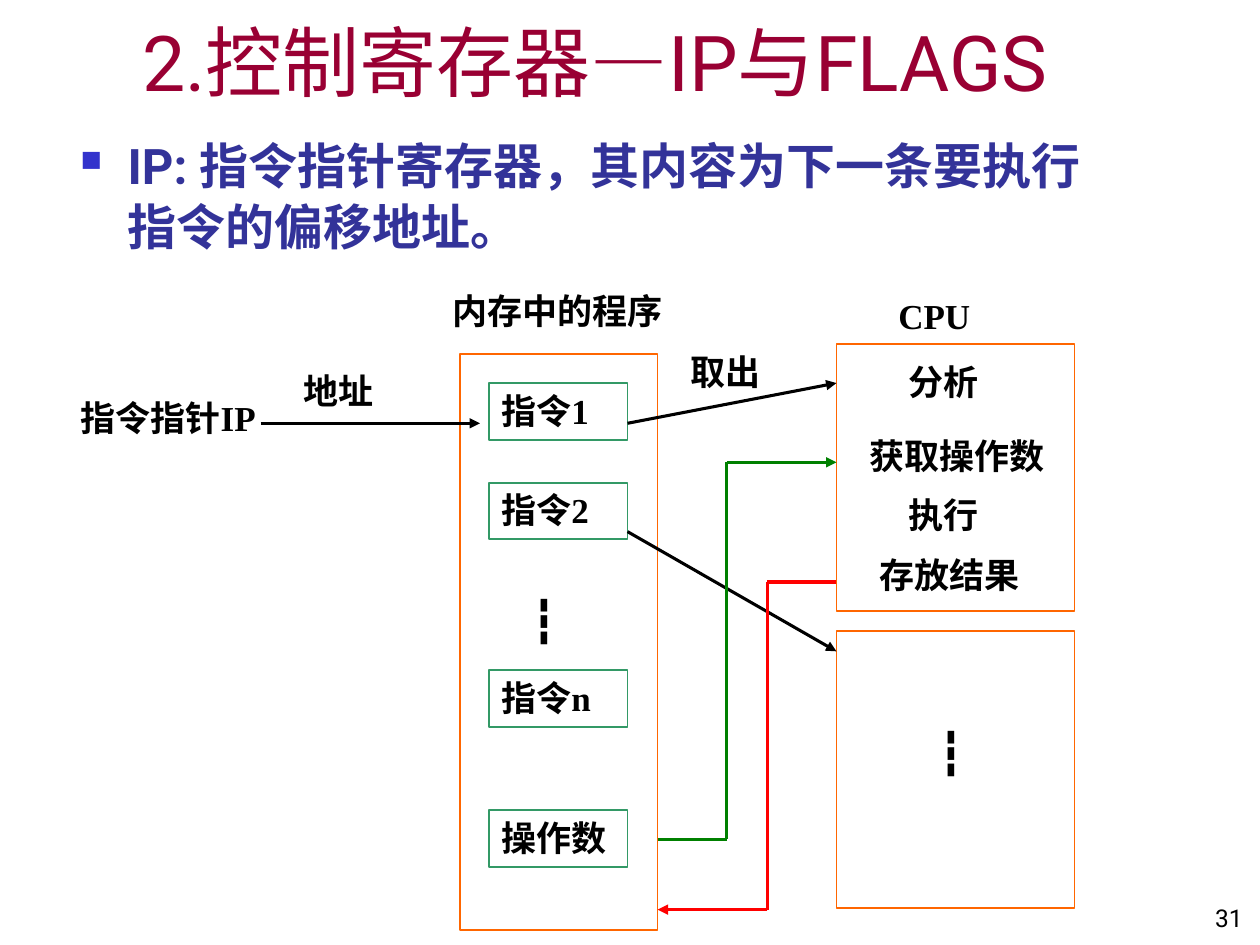
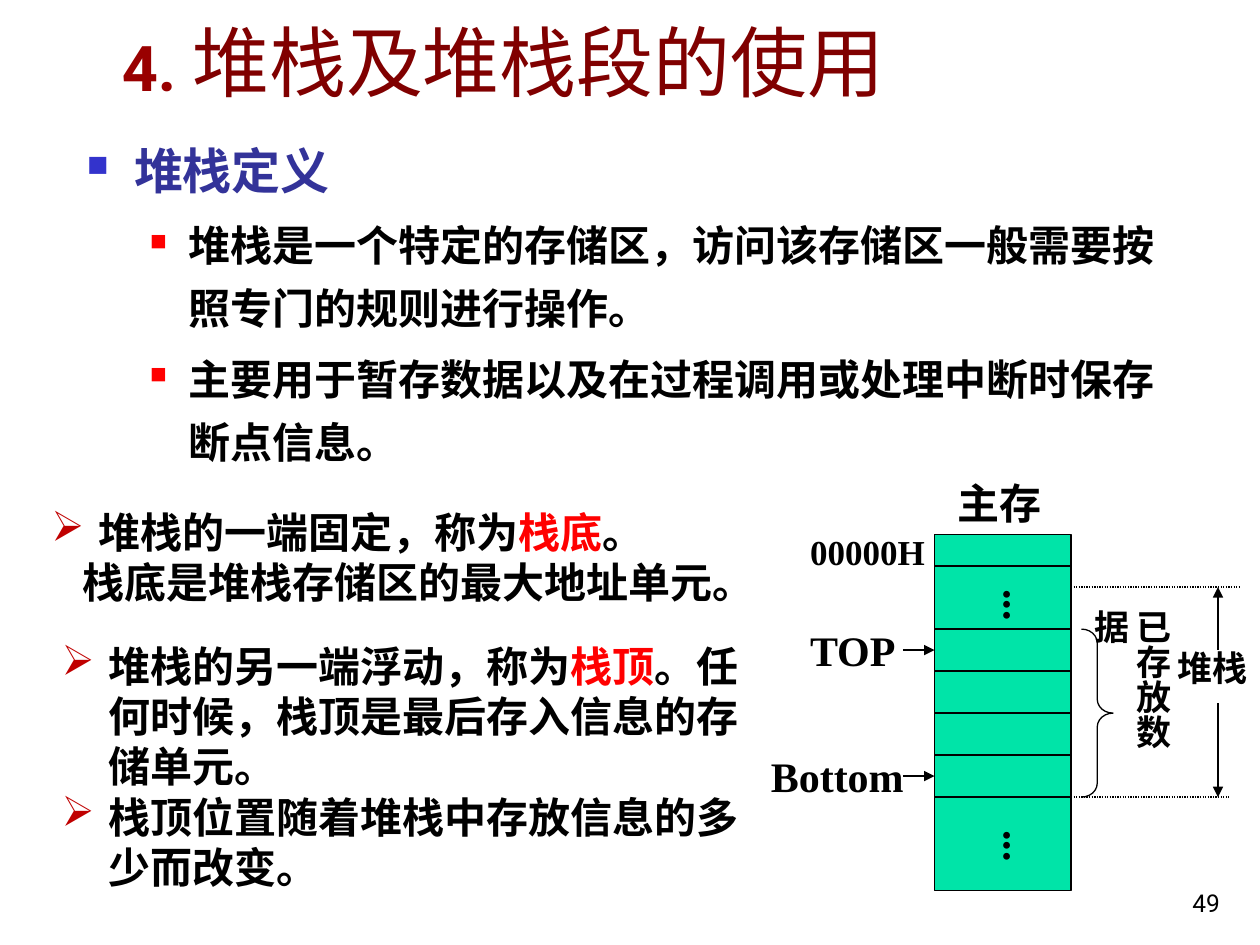
from lxml import etree
from pptx import Presentation
from pptx.dml.color import RGBColor
from pptx.enum.dml import MSO_LINE
from pptx.enum.shapes import MSO_CONNECTOR, MSO_SHAPE
from pptx.enum.text import MSO_ANCHOR, PP_ALIGN
from pptx.oxml.ns import qn
from pptx.util import Pt

RECT, BRACE = MSO_SHAPE.RECTANGLE, MSO_SHAPE.RIGHT_BRACE
STRAIGHT = MSO_CONNECTOR.STRAIGHT
DOTTED = MSO_LINE.ROUND_DOT
TOP, BOTTOM = MSO_ANCHOR.TOP, MSO_ANCHOR.BOTTOM
LEFT, RIGHT = PP_ALIGN.LEFT, PP_ALIGN.RIGHT

SANS, SERIF = "Roboto", "Times New Roman"
COLORS = {
    "black": "000000", "red": "FF0000", "green": "008000",
    "title": "990033", "title_number": "990000", "title_dark": "800000",
    "heading": "333399", "square": "3333CC", "arrow_bullet": "C00000",
    "instruction": "339966", "unit": "FF6600", "memory": "00E4A8",
}


def rgb(name):
    return RGBColor.from_string(COLORS[name])


class Deck:
    """Holds the shared style and the slide being drawn."""

    def __init__(self):
        self.prs = Presentation()
        self.prs.slide_width, self.prs.slide_height = Pt(720), Pt(540)
        self.slide = None

    def new_slide(self):
        self.slide = self.prs.slides.add_slide(self.prs.slide_layouts[6])

    def title(self, box, *spans):
        self.text(box, [{"spans": spans}], size=44, font=SANS,
                  color="title", bold=False, anchor=BOTTOM)

    def page_number(self, left, top, number):
        self.text((left, top, 149.8, 36), number, size=14, font=SANS,
                  bold=False, anchor=BOTTOM, align=RIGHT)

    def text(self, box, content, anchor=TOP, vertical=False, **style):
        """Add a text box; content is a string or a list of paragraphs."""
        frame = self.slide.shapes.add_textbox(*map(Pt, box)).text_frame
        frame.word_wrap = True
        frame.vertical_anchor = anchor
        if vertical:
            frame._txBody.bodyPr.set("vert", "eaVert")
        self.fill_frame(frame, content, **style)

    def fill_frame(self, frame, content, align=LEFT, **style):
        if isinstance(content, str):
            content = [{"spans": [content]}]
        for index, item in enumerate(content):
            paragraph = frame.add_paragraph() if index else frame.paragraphs[0]
            paragraph.alignment = align
            self.fill_paragraph(paragraph, item, style)

    def fill_paragraph(self, paragraph, item, style):
        paragraph.level = item.get("level", 0)
        paragraph.line_spacing = item.get("spacing")
        paragraph.space_before = Pt(item.get("before", 0))
        paragraph.space_after = Pt(item.get("after", 0))
        for span in item["spans"]:
            wording, own = (span, {}) if isinstance(span, str) else span
            run = paragraph.add_run()
            run.text = wording
            self.format_run(run, **{**style, **item.get("style", {}), **own})
        margin, hanging = item.get("indent", (0, 0))
        props = paragraph._p.get_or_add_pPr()
        props.set("marL", str(Pt(margin)))
        props.set("indent", str(Pt(-hanging)))
        if "bullet" in item:
            mark, color, percent = item["bullet"]
            tint = etree.SubElement(props, qn("a:buClr"))
            etree.SubElement(tint, qn("a:srgbClr"), val=COLORS[color])
            etree.SubElement(props, qn("a:buSzPct"), val=str(percent * 1000))
            etree.SubElement(props, qn("a:buChar"), char=mark)

    def format_run(self, run, size=20, font=SERIF, color="black", bold=True):
        run.font.size, run.font.name, run.font.bold = Pt(size), font, bold
        run.font.color.rgb = rgb(color)

    def shape(self, box, line, fill=None, kind=RECT, width=1.0, label=None):
        shape = self.slide.shapes.add_shape(kind, *map(Pt, box))
        shape.shadow.inherit = False
        if fill:
            shape.fill.solid()
            shape.fill.fore_color.rgb = rgb(fill)
        else:
            shape.fill.background()
        shape.line.color.rgb = rgb(line)
        shape.line.width = Pt(width)
        if label:
            shape.text_frame.word_wrap = True
            shape.text_frame.vertical_anchor = TOP
            self.fill_frame(shape.text_frame, label)
        return shape

    def line(self, start, end, color="black", width=0.75, arrow=False, dash=None):
        line = self.slide.shapes.add_connector(STRAIGHT, *map(Pt, start + end))
        line.line.color.rgb = rgb(color)
        line.line.width = Pt(width)
        if dash:
            line.line.dash_style = dash
        props = line._element.spPr
        if arrow:
            etree.SubElement(props.find(qn("a:ln")), qn("a:tailEnd"), type="triangle")
        etree.SubElement(props, qn("a:effectLst"))

    def route(self, *points, color="black"):
        """Join the points with heavy lines, the last one with an arrowhead."""
        for start, end in zip(points, points[1:]):
            self.line(start, end, color, 1.75, arrow=end == points[-1])


def build_registers(deck):
    deck.new_slide()
    deck.page_number(567.4, 500.4, "31")
    deck.text((38.9, 72, 597.6, 84.2), [{
        "spans": ["IP: 指令指针寄存器，其内容为下一条要执行指令的偏移地址。"],
        "indent": (27, 27), "spacing": 1.05, "before": 4, "after": 1.4,
        "bullet": ("■", "square", 60),
    }], size=28, font=SANS, color="heading")
    deck.title((74.2, 10.8, 613.4, 54), "2.控制寄存器—IP与FLAGS")

    # Program in memory
    memory_left, memory_width = 262.8, 113
    memory_right = memory_left + memory_width
    deck.shape((memory_left, 202.3, memory_width, 329), "unit")
    instruction_left, instruction_width = 279.4, 79.2
    instruction_right = instruction_left + instruction_width
    for label, top in (("指令1", 218.9), ("指令2", 275.8),
                       ("指令n", 383), ("操作数", 463)):
        deck.shape((instruction_left, top, instruction_width, 32.4),
                   "instruction", label=label)

    # CPU and the unit below it
    cpu_left = 478
    for top, height in ((196.6, 152.6), (360.7, 158.4)):
        deck.shape((cpu_left, top, 136, height), "unit")

    # Labels
    for label, left, top, width in (
        ("内存中的程序", 251.3, 162, 141.8), ("CPU", 506.2, 164.9, 73.4),
        ("指令指针IP", 38.9, 223.2, 118.8), ("地址", 166.3, 207.4, 56.9),
        ("取出", 387.4, 196.6, 73.4), ("分析", 511.9, 202.3, 62.6),
        ("获取操作数", 489.6, 244.8, 124.6), ("执行", 511.9, 278.6, 62.6),
        ("存放结果", 495.4, 312.5, 102.2),
    ):
        deck.text((left, top, width, 31), label)
    for left, top in ((296.6, 336.2), (529.2, 411.8)):
        deck.text((left, top, 45.4, 36), "┇", size=24, font=SANS)

    # Instruction flow
    deck.route((149, 241.9), (274.3, 241.9))
    deck.route((instruction_right, 241.9), (cpu_left, 218.9))
    deck.route((instruction_right, 303.8), (cpu_left, 372.2))

    # Operand fetch and result store
    fetch_x, store_x = 415.4, 438.5
    deck.route((memory_right, 479.5), (fetch_x, 479.5), (fetch_x, 264.2),
               (cpu_left, 264.2), color="green")
    deck.route((cpu_left, 332.6), (store_x, 332.6), (store_x, 519.8),
               (memory_right, 519.8), color="red")


def build_stack(deck):
    deck.new_slide()
    deck.page_number(554.4, 491.8, "49")
    deck.title((62.6, 10.1, 491.8, 54.7),
               ("4. ", {"size": 36, "bold": True, "color": "title_number"}),
               ("堆栈及堆栈段的使用", {"color": "title_dark"}))

    # Definition
    definition = {"spacing": 1.25, "before": 2.6, "after": 1.7}
    detail = {**definition, "level": 1, "indent": (58.3, 22.3),
              "bullet": ("■", "red", 55), "style": {"size": 24, "color": "black"}}
    deck.text((42.5, 68.4, 635, 208), [
        {**definition, "spans": ["堆栈定义"], "indent": (27, 27),
         "bullet": ("■", "square", 60)},
        {**detail, "spans": ["堆栈是一个特定的存储区，访问该存储区一般需要按照专门的规则进行操作。"]},
        {**detail, "spans": ["主要用于暂存数据以及在过程调用或处理中断时保存断点信息。"]},
    ], size=28, font=SANS, color="heading")

    # Memory cells
    memory_left, memory_width, memory_top = 534, 78, 305.5
    memory_right = memory_left + memory_width
    cell, stack_top, stack_start = 24, 359.5, 335.5
    stack_bottom = stack_top + 4 * cell
    deck.shape((memory_left, memory_top, memory_width, 203.5), "black",
               fill="memory", width=0.75)
    for y in [memory_top + 18] + [stack_top + i * cell for i in range(5)]:
        deck.line((memory_left, y), (memory_right, y))

    # Pointers to the first and last stored cells
    for y in (stack_top + cell / 2, stack_bottom - cell / 2):
        deck.line((516, y), (memory_left, y), arrow=True)

    # Extent of the stack and of the stored data
    deck.line((memory_right, stack_bottom), (702, stack_bottom), dash=DOTTED)
    deck.line((memory_right, stack_start), (708, stack_start), dash=DOTTED)
    for start, end in ((402, stack_bottom), (371.5, stack_start)):
        deck.line((696, start), (696, end), arrow=True)
    stored = deck.shape((618, stack_top, 18, 4 * cell), "black", kind=BRACE, width=0.75)
    stored.adjustments[0] = 0.44

    # Labels
    for label, left, top, width, size in (
        ("堆栈", 666, 365.8, 66.2, 20), ("00000H", 455.8, 299.5, 90, 20),
        ("TOP", 455.8, 353.5, 67, 24), ("Bottom", 433.4, 425.5, 91.4, 24),
        ("主存", 540, 269.3, 66.2, 24),
    ):
        deck.text((left, top, width, 1.5 * size), label, size=size)
    deck.text((635.8, 341.3, 38.2, 108), "已存放数据", vertical=True)
    for top in (329.8, 467.3):
        deck.text((558, top, 43.2, 36), "...", size=24, vertical=True)

    # Stack bottom and stack top
    point = {"indent": (27, 27), "bullet": ("➢", "arrow_bullet", 100)}
    deck.text((22.3, 271.4, 406.8, 80), [
        {**point, "spacing": 1.5,
         "spans": ["堆栈的一端固定，称为", ("栈底", {"color": "red"}), "。"]},
        {"indent": (18, 0), "spans": ["栈底是堆栈存储区的最大地址单元。"]},
    ], size=24)
    deck.text((28.1, 362.2, 406.8, 152.6), [
        {**point, "spans": ["堆栈的另一端浮动，称为", ("栈顶", {"color": "red"}),
                            "。任何时候，栈顶是最后存入信息的存储单元。"]},
        {**point, "spans": ["栈顶位置随着堆栈中存放信息的多少而改变。"]},
    ], size=24)


def main():
    deck = Deck()
    build_registers(deck)
    build_stack(deck)
    deck.prs.save("out.pptx")


if __name__ == "__main__":
    main()
